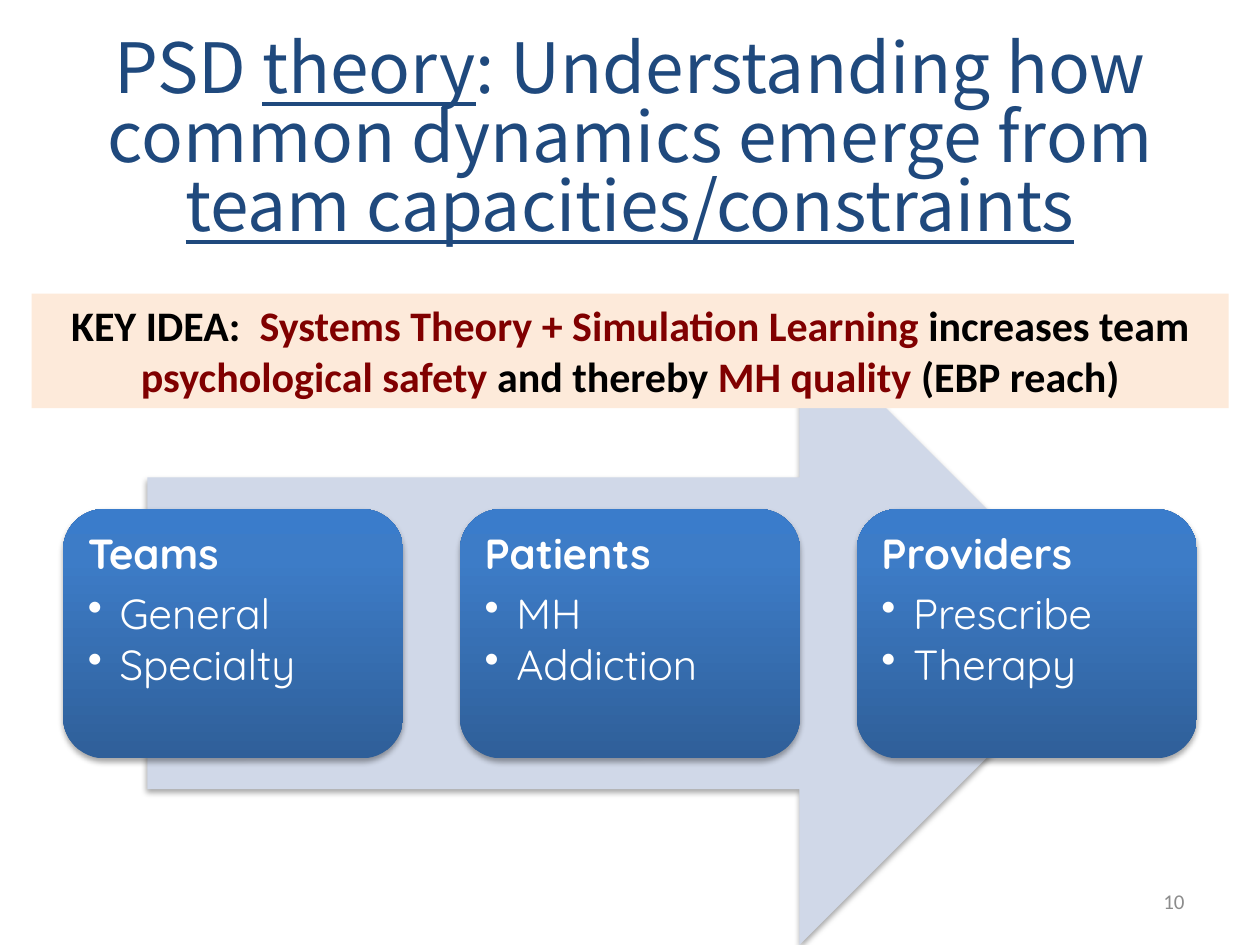
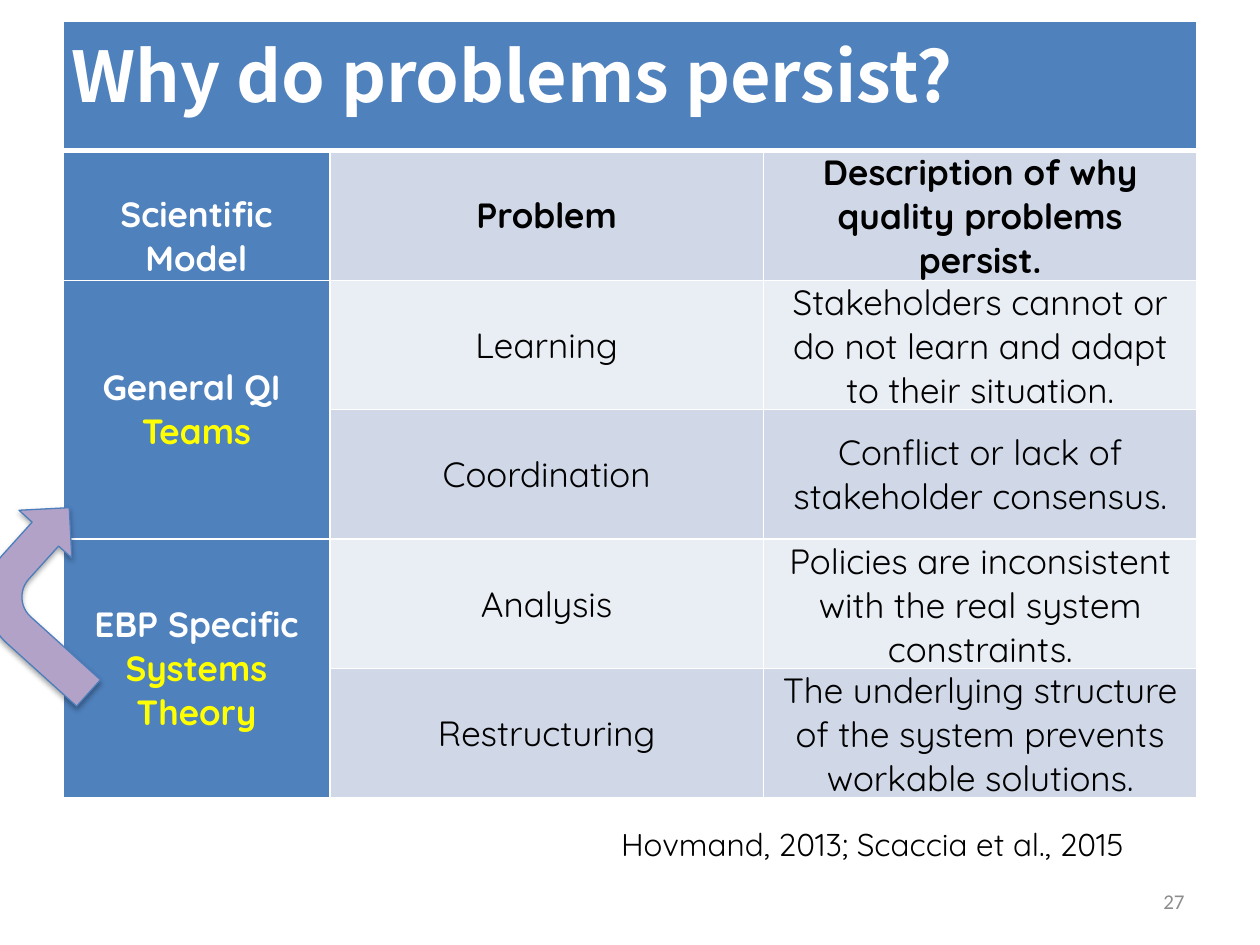
"""Builds two slides on team dynamics and on why quality problems persist."""
from copy import deepcopy

from lxml import etree
from pptx import Presentation
from pptx.dml.color import RGBColor
from pptx.enum.shapes import MSO_SHAPE
from pptx.enum.text import MSO_ANCHOR, PP_ALIGN
from pptx.oxml import parse_xml
from pptx.oxml.ns import qn
from pptx.util import Cm, Pt

LEFT, MID, RIGHT = PP_ALIGN.LEFT, PP_ALIGN.CENTER, PP_ALIGN.RIGHT
TOP, CENTER, BOTTOM = MSO_ANCHOR.TOP, MSO_ANCHOR.MIDDLE, MSO_ANCHOR.BOTTOM
ARROW, ROUND = MSO_SHAPE.RIGHT_ARROW, MSO_SHAPE.ROUNDED_RECTANGLE
RECT, BENT = MSO_SHAPE.RECTANGLE, MSO_SHAPE.BENT_ARROW
HEAD, BODY, PLAIN = "Noto Sans CJK JP", "Quicksand", "Calibri"
HUES = {
    "navy": "1F497D", "blue": "4F81BD", "pale": "D0D8E8", "mist": "E9EDF4",
    "peach": "FDEADA", "red": "800000", "black": "000000", "white": "FFFFFF",
    "gray": "8C8C8C", "yellow": "FFFF00", "mauve": "B3A2C7", "edge": "4B7EBC",
    "deep": "2F5F99", "mid": "3D7CC7", "top": "3A7CCB",
}
RGB = {name: RGBColor.from_string(code) for name, code in HUES.items()}
NS = 'xmlns:a="http://schemas.openxmlformats.org/drawingml/2006/main"'
SHADE = (f'<a:outerShdw {NS} blurRad="40000" dist="23000" dir="5400000" rotWithShape="0">'
         '<a:srgbClr val="000000"><a:alpha val="35000"/></a:srgbClr></a:outerShdw>')


def write(para, runs, size, font, align=LEFT, bold=False):
    """Add (text, colour, underline) runs to a paragraph."""
    para.alignment = align
    for text, hue, *line in runs:
        run = para.add_run()
        run.text = text
        run.font.size, run.font.name, run.font.bold = Pt(size), font, bold
        run.font.color.rgb = RGB[hue]
        if line:
            run.font.underline = True


def draw(slide, kind, spot, hue=None, shade=True):
    """Add a text box, or a filled shape if a kind is given."""
    area = [Cm(n) for n in spot]
    if kind is None:
        box = slide.shapes.add_textbox(*area)
    else:
        box = slide.shapes.add_shape(kind, *area)
        box.shadow.inherit = False
        if shade:
            box._element.spPr.find(qn("a:effectLst")).append(parse_xml(SHADE))
        box.fill.solid()
        box.fill.fore_color.rgb = RGB[hue]
        box.line.fill.background()
    box.text_frame.word_wrap = True
    return box


deck = Presentation()
deck.slide_width, deck.slide_height = Cm(25.4), Cm(19.05)
pages = [deck.slides.add_slide(deck.slide_layouts[6]) for _ in range(2)]
first, second = pages

draw(first, ARROW, (2.97, 6.48, 19.43, 12.57), "pale")
cards = [
    ("Teams", "General", "Specialty"),
    ("Patients", "MH", "Addiction"),
    ("Providers", "Prescribe", "Therapy"),
]
for col, lines in enumerate(cards):
    left = 1.27 + 8 * col
    card = draw(first, ROUND, (left, 10.26, 6.86, 5.03), "mid")
    card.fill.gradient()
    card.fill.gradient_angle = 90
    stops = card._element.spPr.find(qn("a:gradFill")).find(qn("a:gsLst"))
    stops.append(deepcopy(stops[-1]))
    for stop, place, hue in zip(card.fill.gradient_stops, (0, 0.8, 1), ("deep", "mid", "top")):
        stop.position = place
        stop.color.rgb = RGB[hue]
    frame = draw(first, None, (left + 0.25, 10.49, 6.38, 4.55)).text_frame
    frame.margin_left = frame.margin_right = Cm(0.25)
    frame.margin_top = frame.margin_bottom = Cm(0.25)
    for row, text in enumerate(lines):
        para = frame.add_paragraph() if row else frame.paragraphs[0]
        write(para, [(text, "white")], 24, BODY, bold=row == 0)
        para.line_spacing = 0.9
        para.space_after = Pt(3.6 if row else 8.4)
        if row:
            props = para._p.get_or_add_pPr()
            props.set("marL", str(Cm(0.64)))
            props.set("indent", str(-Cm(0.64)))
            etree.SubElement(props, qn("a:buChar")).set("char", "•")

title = draw(first, None, (1.27, 1.27, 22.86, 3.18)).text_frame
title.vertical_anchor = CENTER
title.paragraphs[0].line_spacing = 0.83
write(title.paragraphs[0], [
    ("PSD ", "navy"), ("theory", "navy", True),
    (": Understanding how common dynamics emerge from ", "navy"),
    ("team capacities/constraints", "navy", True),
], 39.6, HEAD, MID)

idea = draw(first, RECT, (0.64, 5.92, 24.13, 2.31), "peach", False).text_frame
idea.vertical_anchor = TOP
write(idea.paragraphs[0], [
    ("KEY IDEA:  ", "black"), ("Systems Theory + Simulation Learning ", "red"),
    ("increases team ", "black"), ("psychological safety ", "red"),
    ("and thereby ", "black"), ("MH quality", "red"), (" (EBP reach)", "black"),
], 24, PLAIN, MID, True)

grid = second.shapes.add_table(6, 3, Cm(1.27), Cm(0.43), Cm(22.86), Cm(15.66)).table
grid.first_row = grid.horz_banding = False
for col, wide in zip(grid.columns, (5.38, 8.74, 8.74)):
    col.width = Cm(wide)
rows = [
    ("Why do problems persist?", "", ""),
    ("Scientific Model", "Problem", "Description of why quality problems persist."),
    (("General QI ", "Teams"), "Learning",
     "Stakeholders cannot or do not learn and adapt to their situation."),
    ("", "Coordination", "Conflict or lack of stakeholder consensus."),
    (("EBP Specific", "Systems Theory"), "Analysis",
     "Policies are inconsistent with the real system constraints."),
    ("", "Restructuring",
     "The underlying structure of the system prevents workable solutions."),
]
for start, end in (((0, 0), (0, 2)), ((2, 0), (3, 0)), ((4, 0), (5, 0))):
    grid.cell(*start).merge(grid.cell(*end))
for r, texts in enumerate(rows):
    for c, text in enumerate(texts):
        cell = grid.cell(r, c)
        dark = r == 0 or c == 0
        cell.margin_left = cell.margin_right = Cm(0.18)
        cell.margin_top = cell.margin_bottom = 0
        cell.vertical_anchor = TOP if r == 0 else BOTTOM if (r, c) == (1, 0) else CENTER
        cell.fill.solid()
        cell.fill.fore_color.rgb = RGB["blue" if dark else "pale" if r % 2 else "mist"]
        for at, side in enumerate("LRTB"):
            thick = 3 if (r, side) in ((0, "B"), (1, "T")) else 1
            cell._tc.tcPr.insert(at, parse_xml(
                f'<a:ln{side} {NS} w="{Pt(thick)}"><a:solidFill>'
                f'<a:srgbClr val="{HUES["white"]}"/></a:solidFill></a:ln{side}>'))
        parts = text if isinstance(text, tuple) else (text,) if text else ()
        for n, part in enumerate(parts):
            para = cell.text_frame.add_paragraph() if n else cell.text_frame.paragraphs[0]
            hue = "yellow" if n else "white" if dark else "black"
            size, font, align = (20, BODY, MID) if r else (40, HEAD, LEFT)
            write(para, [(part, hue)], size, font, align, dark or r == 1)
for row in grid.rows:
    row.height = Cm(2.61)

cite = draw(second, None, (12.27, 16.51, 11.81, 1.02)).text_frame
cite.word_wrap = False
write(cite.paragraphs[0], [("Hovmand, 2013; Scaccia et al., 2015", "black")], 18, BODY)
bend = draw(second, BENT, (-0.23, 10.24, 2.87, 3.51), "mauve")
bend.rotation = 312.1
bend.line.color.rgb = RGB["edge"]
bend.line.width = Pt(0.75)

for slide, number in zip(pages, ("10", "27")):
    foot = draw(slide, None, (18.21, 17.65, 5.92, 1.02)).text_frame
    foot.vertical_anchor = CENTER
    write(foot.paragraphs[0], [(number, "gray")], 12, PLAIN, RIGHT)

deck.save("out.pptx")
